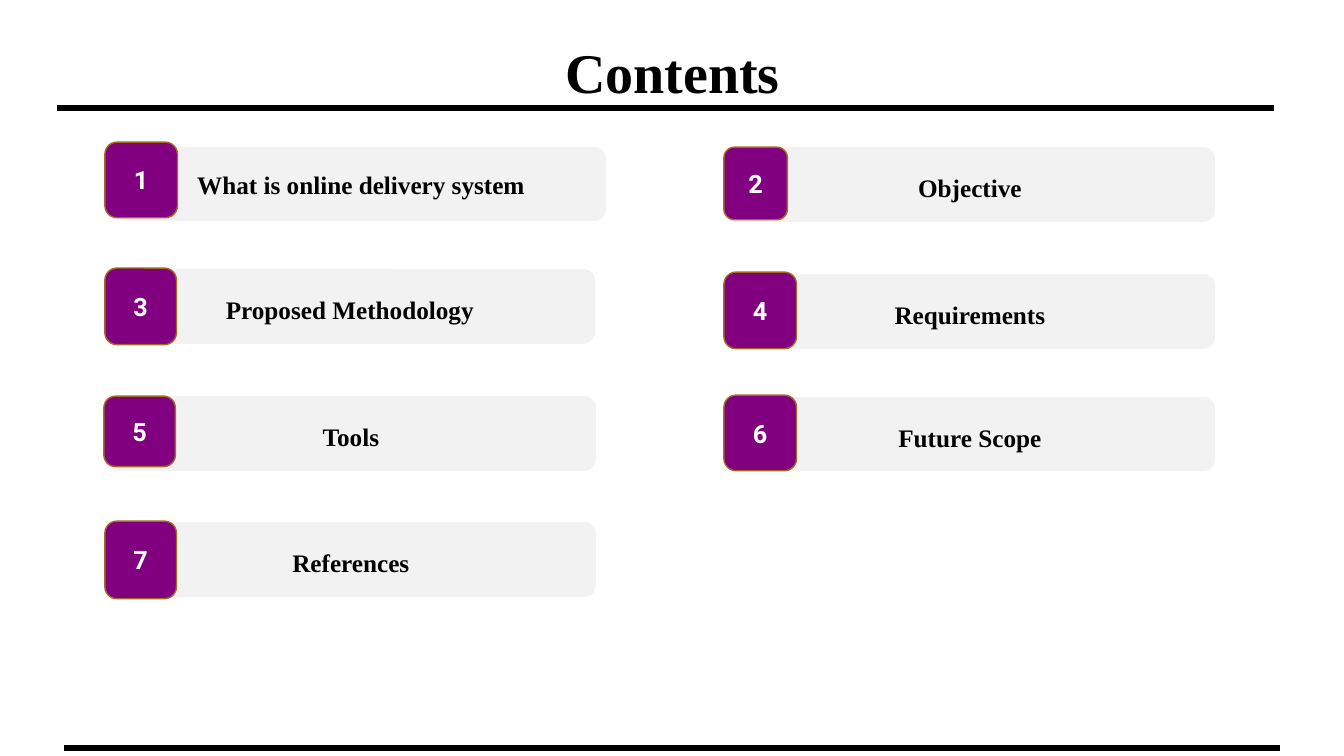
from lxml import etree
from pptx import Presentation
from pptx.dml.color import RGBColor
from pptx.enum.shapes import MSO_CONNECTOR, MSO_SHAPE
from pptx.enum.text import MSO_ANCHOR, PP_ALIGN
from pptx.oxml.ns import qn
from pptx.util import Inches, Pt

RECT, ROUNDED = MSO_SHAPE.RECTANGLE, MSO_SHAPE.ROUNDED_RECTANGLE
STRAIGHT = MSO_CONNECTOR.STRAIGHT
TOP, MIDDLE = MSO_ANCHOR.TOP, MSO_ANCHOR.MIDDLE
CENTER = PP_ALIGN.CENTER
SCALE = Inches(1) // 100

ITEMS = [
    ("What is online delivery system", (114, 145, 488, 75), (104, 141, 72, 75)),
    ("Objective", (718, 145, 488, 76), (718, 146, 63, 72)),
    ("Proposed Methodology", (103, 266, 488, 76), (104, 266, 71, 76)),
    ("Requirements", (718, 271, 488, 76), (718, 270, 72, 76)),
    ("Tools", (104, 392, 488, 76), (103, 393, 71, 70)),
    ("Future Scope", (718, 393, 488, 75), (718, 392, 72, 75)),
    ("References", (104, 517, 488, 76), (104, 517, 71, 77)),
]


def px(n):
    return n * SCALE


def rgb(value):
    return RGBColor.from_string(value)


class Deck:
    """Draws the elements of the contents slide in one style."""

    serif, sans = "Times New Roman", "Roboto"
    ink, paper = "000000", "FFFFFF"
    bar_fill, badge_fill, badge_line = "F2F2F2", "800080", "A46C23"

    def __init__(self, prs):
        self.s = prs.slides.add_slide(prs.slide_layouts[6])

    def box(self, kind, at, text, fill, line, font, size, color):
        sp = self.s.shapes.add_shape(kind, *map(px, at))
        sp.shadow.inherit = False
        sp.fill.solid()
        sp.fill.fore_color.rgb = rgb(fill)
        if line:
            sp.line.color.rgb = rgb(line)
            sp.line.width = Pt(1)
        else:
            sp.line.fill.background()
        tf = sp.text_frame
        tf.text = text
        tf.word_wrap = True
        tf.vertical_anchor = MIDDLE
        p = tf.paragraphs[0]
        p.alignment = CENTER
        f = p.runs[0].font
        f.name, f.size, f.bold = font, Pt(size), True
        f.color.rgb = rgb(color)
        return sp

    def title(self, at, text):
        sp = self.box(RECT, at, text, self.paper, None, self.serif, 40, self.ink)
        sp.text_frame.vertical_anchor = TOP

    def bar(self, at, text, spaced):
        sp = self.box(ROUNDED, at, text, self.bar_fill, self.paper,
                      self.serif, 18, self.ink)
        if spaced:
            p = sp.text_frame.paragraphs[0]
            p.line_spacing = 1.2
            p.space_before = Pt(10)

    def badge(self, at, number):
        self.box(ROUNDED, at, str(number), self.badge_fill, self.badge_line,
                 self.sans, 18, self.paper)

    def rule(self, x, y, width):
        c = self.s.shapes.add_connector(STRAIGHT, px(x), px(y), px(x + width), px(y))
        c.line.color.rgb = rgb(self.ink)
        c.line.width = Pt(4.5)
        etree.SubElement(c._element.spPr, qn("a:effectLst"))


def main():
    prs = Presentation()
    prs.slide_width, prs.slide_height = px(1333), px(750)
    deck = Deck(prs)
    deck.title((78, 32, 1178, 75), "Contents")
    for number, (text, bar_at, badge_at) in enumerate(ITEMS, 1):
        deck.bar(bar_at, text, spaced=number > 1)
        deck.badge(badge_at, number)
    deck.rule(57, 107, 1207)
    deck.rule(63, 742, 1207)
    prs.save("out.pptx")


if __name__ == "__main__":
    main()
